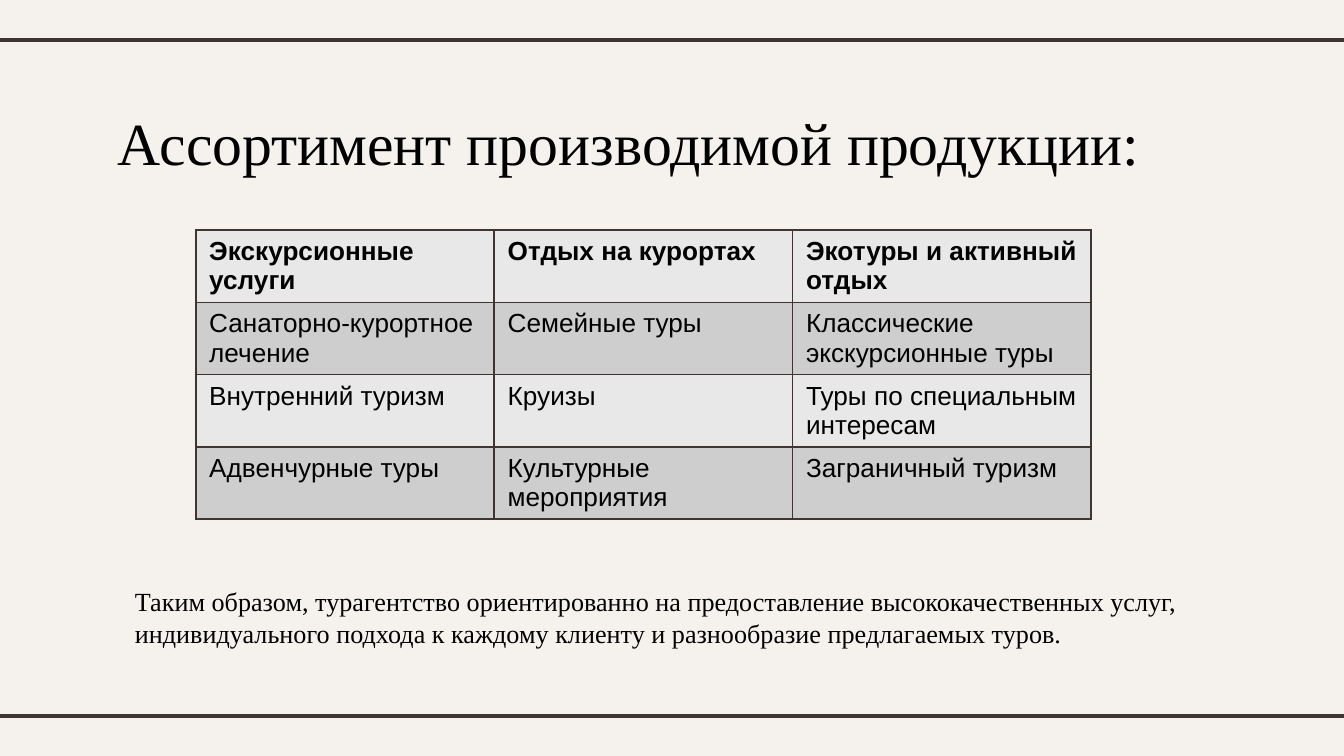
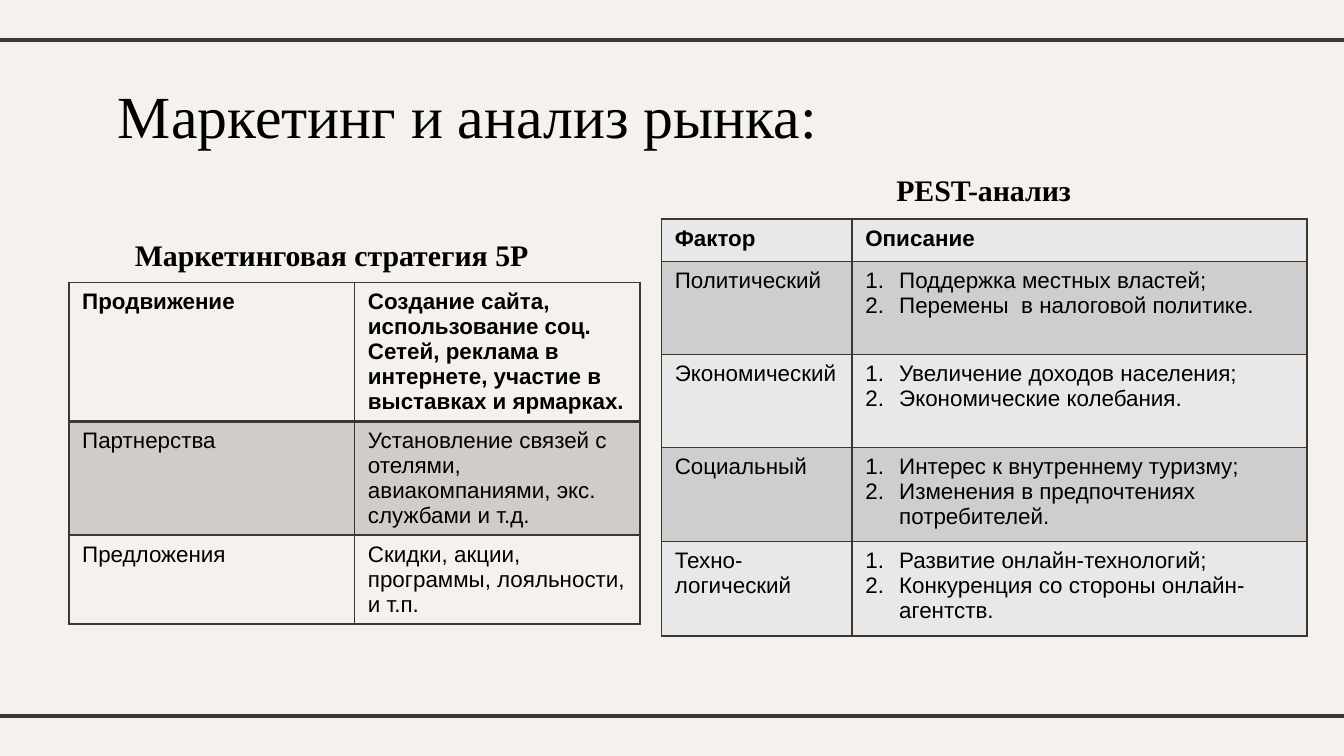
from lxml.etree import SubElement
from pptx import Presentation
from pptx.dml.color import RGBColor
from pptx.enum.shapes import MSO_CONNECTOR
from pptx.enum.text import MSO_ANCHOR, MSO_AUTO_SIZE, PP_ALIGN
from pptx.oxml.ns import qn
from pptx.util import Cm, Pt

# Shared look
PAPER = RGBColor(0xF5, 0xF2, 0xEE)
DARK = RGBColor(0x3F, 0x35, 0x33)
BLACK = RGBColor(0, 0, 0)
LIGHT_GREY = RGBColor(0xE8, 0xE8, 0xE8)
MID_GREY = RGBColor(0xCF, 0xCE, 0xCE)
SERIF = "Times New Roman"
SANS = "Arial"
BAND_OPACITY = 20  # percent
NUMBER_INDENT = Cm(0.64)
TITLE_ONLY = 5

# Table contents; a list inside a row is a numbered list
PRODUCTS = [
    ["Экскурсионные услуги", "Отдых на курортах", "Экотуры и активный отдых"],
    ["Санаторно-курортное лечение", "Семейные туры", "Классические экскурсионные туры"],
    ["Внутренний туризм", "Круизы", "Туры по специальным интересам"],
    ["Адвенчурные туры", "Культурные мероприятия", "Заграничный туризм"],
]
STRATEGY = [
    ["Продвижение", "Создание сайта, использование соц. Сетей, реклама в интернете, "
                    "участие в выставках и ярмарках."],
    ["Партнерства", "Установление связей с отелями, авиакомпаниями, экс. службами и т.д."],
    ["Предложения", "Скидки, акции, программы, лояльности, и т.п."],
]
PEST = [
    ["Фактор", "Описание"],
    ["Политический", ["Поддержка местных властей;", "Перемены  в налоговой политике."]],
    ["Экономический", ["Увеличение доходов населения;", "Экономические колебания."]],
    ["Социальный", ["Интерес к внутреннему туризму;",
                    "Изменения в предпочтениях потребителей."]],
    ["Техно-логический", ["Развитие онлайн-технологий;",
                          "Конкуренция со стороны онлайн-агентств."]],
]


def set_font(paragraph, name, size, bold=False):
    font = paragraph.font
    font.name, font.size, font.bold = name, Pt(size), bold
    font.color.rgb = BLACK


def add_rule(slide, y):
    rule = slide.shapes.add_connector(MSO_CONNECTOR.STRAIGHT, Cm(-0.2), y, Cm(25.6), y)
    rule.line.color.rgb = DARK
    rule.line.width = Pt(2.25)
    SubElement(rule._element.spPr, qn("a:effectLst"))


def add_titled_slide(presentation, text, top):
    slide = presentation.slides.add_slide(presentation.slide_layouts[TITLE_ONLY])
    for y in (Cm(0.76), Cm(13.54)):
        add_rule(slide, y)
    title = slide.shapes.title
    title.left, title.top, title.width, title.height = Cm(1.98), top, Cm(21.44), Cm(1.6)
    frame = title.text_frame
    frame.text = text
    frame.auto_size = MSO_AUTO_SIZE.NONE
    frame.vertical_anchor = MSO_ANCHOR.TOP
    frame.margin_left = frame.margin_right = Cm(0.25)
    frame.margin_top = frame.margin_bottom = Cm(0.25)
    frame.paragraphs[0].alignment = PP_ALIGN.LEFT
    set_font(frame.paragraphs[0], SERIF, 32)
    return slide


def add_text(slide, text, left, top, width, height, size, bold=False):
    frame = slide.shapes.add_textbox(left, top, width, height).text_frame
    frame.word_wrap = True
    frame.text = text
    set_font(frame.paragraphs[0], SERIF, size, bold)


def set_border(cell, side, width):
    line = SubElement(cell._tc.get_or_add_tcPr(), qn(f"a:ln{side}"), w=str(Pt(width)))
    fill = SubElement(line, qn("a:solidFill"))
    SubElement(fill, qn("a:srgbClr"), val=str(DARK))


def number_paragraph(paragraph):
    properties = paragraph._p.get_or_add_pPr()
    properties.set("marL", str(NUMBER_INDENT))
    properties.set("indent", str(-NUMBER_INDENT))
    color = SubElement(properties, qn("a:buClr"))
    SubElement(color, qn("a:srgbClr"), val=str(BLACK))
    SubElement(properties, qn("a:buAutoNum"), type="arabicPeriod")


def write_cell(cell, content, size, bold):
    numbered = isinstance(content, list)
    cell.text = "\n".join(content) if numbered else content
    for paragraph in cell.text_frame.paragraphs:
        if numbered:
            number_paragraph(paragraph)
        set_font(paragraph, SANS, size, bold)


def fill_grey(cell, row):
    cell.fill.solid()
    cell.fill.fore_color.rgb = MID_GREY if row % 2 else LIGHT_GREY


def fill_tint(cell, row):
    """Leave even rows clear and tint odd ones with the dark colour."""
    if row % 2 == 0:
        cell.fill.background()
        return
    cell.fill.solid()
    cell.fill.fore_color.rgb = DARK
    color = cell._tc.tcPr.find(f".//{qn('a:solidFill')}[last()]/..")
    color = cell._tc.tcPr.find(f"{qn('a:solidFill')}/{qn('a:srgbClr')}")
    SubElement(color, qn("a:alpha"), val=str(BAND_OPACITY * 1000))


def add_grid(slide, rows, left, top, widths, heights, size, fill_cell, header_rule=1):
    table = slide.shapes.add_table(len(rows), len(widths), left, top,
                                   sum(widths), sum(heights)).table
    table.first_row = table.horz_banding = False
    for column, width in zip(table.columns, widths):
        column.width = width
    for row, height in zip(table.rows, heights):
        row.height = height
    for r, contents in enumerate(rows):
        for c, content in enumerate(contents):
            cell = table.cell(r, c)
            write_cell(cell, content, size, bold=r == 0)
            borders = {"L": 1, "R": 1, "T": header_rule if r == 1 else 1,
                       "B": header_rule if r == 0 else 1}
            for side, width in borders.items():
                set_border(cell, side, width)
            fill_cell(cell, r)


def add_products_slide(presentation):
    slide = add_titled_slide(presentation, "Ассортимент производимой продукции:", Cm(1.75))
    add_grid(slide, PRODUCTS, Cm(3.7), Cm(4.35), [Cm(5.64)] * 3, [Cm(1.04)] * 4,
             14, fill_grey)
    add_text(slide, "Таким образом, турагентство ориентированно на предоставление "
                    "высококачественных услуг, индивидуального подхода к каждому клиенту "
                    "и разнообразие предлагаемых туров.",
             Cm(2.3), Cm(10.95), Cm(20.8), Cm(1.45), 14)


def add_marketing_slide(presentation):
    slide = add_titled_slide(presentation, "Маркетинг и анализ рынка:", Cm(1.24))
    # Strategy on the left
    add_grid(slide, STRATEGY, Cm(1.3), Cm(5.34), [Cm(5.4)] * 2, [Cm(1.04)] * 3,
             12, fill_tint, header_rule=2)
    add_text(slide, "Маркетинговая стратегия 5P",
             Cm(2.3), Cm(4.35), Cm(8.6), Cm(0.94), 16, bold=True)
    # Factors on the right
    add_grid(slide, PEST, Cm(12.5), Cm(4.14), [Cm(3.6), Cm(8.6)],
             [Cm(0.8)] + [Cm(1.76)] * 4, 12, fill_grey)
    add_text(slide, "PEST-анализ", Cm(16.69), Cm(3.12), Cm(8.2), Cm(0.94), 16, bold=True)


def main():
    presentation = Presentation()
    presentation.slide_width, presentation.slide_height = Cm(25.4), Cm(14.29)
    background = presentation.slide_master.background.fill
    background.solid()
    background.fore_color.rgb = PAPER
    add_products_slide(presentation)
    add_marketing_slide(presentation)
    presentation.save("out.pptx")


if __name__ == "__main__":
    main()
